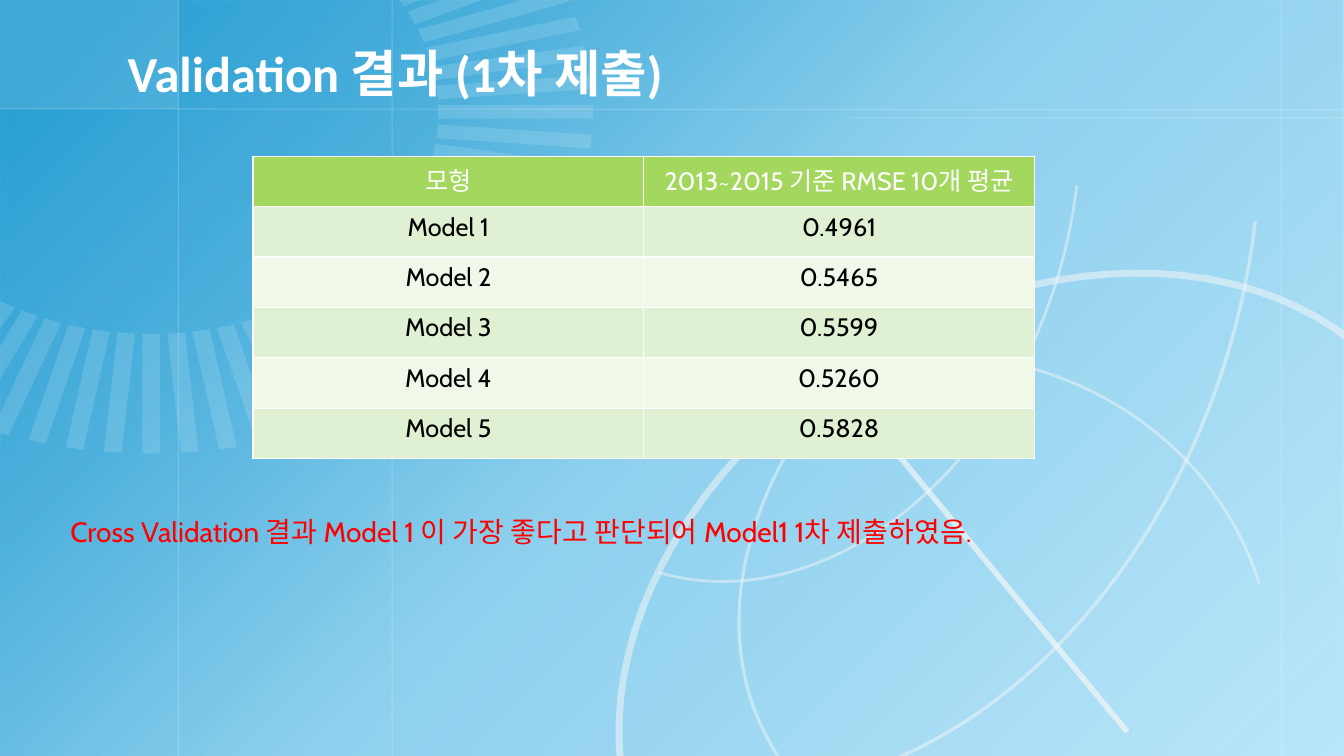
import math

from lxml import etree
from pptx import Presentation
from pptx.dml.color import RGBColor
from pptx.enum import shapes, text
from pptx.oxml import ns
from pptx.util import Inches, Pt

COLORS = {
    "sky": "BCE7FA", "blue": "0F92CC", "white": "FFFFFF", "tick": "F2FAFE",
    "arc": "F8F8F8", "green": "A3D75D", "band": "E0F0D2", "pale": "F0F8EA",
    "black": "000000", "red": "FF0000",
}
WIDTH, HEIGHT = 13.33, 7.5


def bezier(points, steps=24):
    """Points along a chain of cubic curves."""
    curve = [points[0]]
    for i in range(0, len(points) - 1, 3):
        a, b, c, d = points[i:i + 4]
        for n in range(1, steps + 1):
            t = n / steps
            weights = ((1 - t) ** 3, 3 * t * (1 - t) ** 2, 3 * t * t * (1 - t), t ** 3)
            curve.append(tuple(sum(w * q[k] for w, q in zip(weights, (a, b, c, d)))
                               for k in (0, 1)))
    return curve


def clip(points, axis):
    """Cut away the part of a polygon below zero on one axis."""
    kept = []
    for a, b in zip(points, points[1:] + points[:1]):
        if a[axis] >= 0:
            kept.append(a)
        if (a[axis] >= 0) != (b[axis] >= 0):
            t = a[axis] / (a[axis] - b[axis])
            kept.append(tuple(p + t * (q - p) for p, q in zip(a, b)))
    return kept


class Deck:
    def __init__(self):
        self.prs = Presentation()
        self.prs.slide_width, self.prs.slide_height = Inches(WIDTH), Inches(HEIGHT)
        self.s = self.prs.slides.add_slide(self.prs.slide_layouts[6])
        self.paint(self.s.background.fill, "sky")

    def add_xml(self, parent, tag, **attrs):
        return etree.SubElement(parent, ns.qn(tag), attrs)

    def paint(self, fill, color):
        fill.solid()
        fill.fore_color.rgb = RGBColor.from_string(COLORS[color])

    def fade(self, sp, alpha):
        for clr in sp._element.spPr.iter(ns.qn("a:srgbClr")):
            self.add_xml(clr, "a:alpha", val=str(alpha * 1000))

    def rect(self, x, y, w, h, color, alpha):
        sp = self.s.shapes.add_shape(shapes.MSO_SHAPE.RECTANGLE,
                                     Inches(x), Inches(y), Inches(w), Inches(h))
        sp.shadow.inherit = False
        sp.line.fill.background()
        self.paint(sp.fill, color)
        self.fade(sp, alpha)
        return sp

    def gradient(self, sp, color, stops, angle):
        sp.fill.gradient()
        grad = sp._element.spPr.find(ns.qn("a:gradFill"))
        for child in list(grad):
            grad.remove(child)
        gs_list = self.add_xml(grad, "a:gsLst")
        for pos, alpha in stops:
            gs = self.add_xml(gs_list, "a:gs", pos=str(pos * 1000))
            clr = self.add_xml(gs, "a:srgbClr", val=COLORS[color])
            self.add_xml(clr, "a:alpha", val=str(alpha * 1000))
        self.add_xml(grad, "a:lin", ang=str(angle * 60000), scaled="0")

    def line(self, x1, y1, x2, y2, color, width, alpha):
        sp = self.s.shapes.add_connector(shapes.MSO_CONNECTOR.STRAIGHT,
                                         Inches(x1), Inches(y1), Inches(x2), Inches(y2))
        self.paint(sp.line.fill, color)
        sp.line.width = Pt(width)
        self.fade(sp, alpha)
        self.add_xml(sp._element.spPr, "a:effectLst")

    def outline(self, points, color, alpha, width=None):
        """A filled polygon, or an open stroke when a width is given."""
        pts = [(Inches(x), Inches(y)) for x, y in points]
        fb = self.s.shapes.build_freeform(*pts[0])
        fb.add_line_segments(pts[1:], close=width is None)
        sp = fb.convert_to_shape()
        sp.shadow.inherit = False
        if width is None:
            sp.line.fill.background()
            self.paint(sp.fill, color)
        else:
            sp.fill.background()
            self.paint(sp.line.fill, color)
            sp.line.width = Pt(width)
        self.fade(sp, alpha)

    def put_text(self, tf, words, color, align, **fmt):
        p = tf.paragraphs[0]
        p.alignment = align
        r = p.add_run()
        r.text = words
        r.font.color.rgb = RGBColor.from_string(COLORS[color])
        for name, value in fmt.items():
            setattr(r.font, name, value)

    def textbox(self, x, y, w, h, words, color, align, anchor, **fmt):
        tf = self.s.shapes.add_textbox(Inches(x), Inches(y), Inches(w), Inches(h)).text_frame
        tf.word_wrap = True
        tf.vertical_anchor = anchor
        self.put_text(tf, words, color, align, **fmt)

    def table(self, x, y, w, row_h, rows, **fmt):
        tb = self.s.shapes.add_table(len(rows), len(rows[0]), Inches(x), Inches(y),
                                     Inches(w), Inches(row_h * len(rows))).table
        tb.first_row = tb.horz_banding = False
        for i, row in enumerate(rows):
            fill = "green" if i == 0 else ("band" if i % 2 else "pale")
            for j, words in enumerate(row):
                cell = tb.cell(i, j)
                self.put_text(cell.text_frame, words, "black" if i else "white",
                              text.PP_ALIGN.CENTER, **fmt)
                tc_pr = cell._tc.get_or_add_tcPr()
                for side in ("a:lnL", "a:lnR", "a:lnT", "a:lnB"):
                    ln = self.add_xml(tc_pr, side, w=str(Pt(1)))
                    self.add_xml(self.add_xml(ln, "a:solidFill"), "a:srgbClr",
                                 val=COLORS["white"])
                self.paint(cell.fill, fill)


def main():
    d = Deck()

    # Background gradient and corner panel
    sky = d.rect(0, 0, WIDTH, HEIGHT, "blue", 0)
    d.gradient(sky, "blue", [(6, 83), (26, 63), (50, 27), (100, 0)], 45)
    d.rect(0, 0, 1.77, 1.08, "white", 10)

    # Hairline grid
    for x in (1.77, 12.71, 3.89):
        d.line(x, 0, x, HEIGHT, "white", 0.75, 20)
    d.line(0, 1.08, WIDTH, 1.09, "white", 0.75, 20)
    d.line(8.44, 1.17, WIDTH, 1.17, "white", 0.75, 20)

    # Dial of ticks every five degrees, cut at the slide edges
    cx, cy, rx, ry, inner, half = 1.5, 1.11, 4.38, 3.39, 0.65, 0.02
    for degrees in range(-30, 125, 5):
        cos, sin = math.cos(math.radians(degrees)), math.sin(math.radians(degrees))
        tick = [(cx + rx * (r * cos - w * sin), cy + ry * (r * sin + w * cos))
                for r, w in ((inner, -half), (1, -half), (1, half), (inner, half))]
        d.outline(clip(clip(tick, 0), 1), "tick", 15)

    # Globe: rim, axis and meridians
    rim = [(6.41, 8.45), (5.62, 6.86), (6.61, 4.65), (8.65, 3.46),
           (10.69, 2.27), (13.05, 2.52), (13.98, 4.03)]
    d.outline(bezier(rim), "arc", 50, 5)
    d.line(7.56, 2.88, 11.18, 7.26, "arc", 4, 65)
    meridians = [
        (2, [(7.1, 4.14), (8.09, 3.53), (9.27, 3.36), (10.32, 3.68),
             (11.37, 4.01), (12.17, 4.78), (12.49, 5.79)]),
        (2.25, [(9.53, 2.74), (8.48, 3.39), (7.71, 4.36), (7.44, 5.38),
                (7.16, 6.39), (7.42, 7.35), (8.12, 7.96)]),
        (2, [(6.53, 5.68), (7.39, 5.93), (8.37, 5.65), (9.18, 4.9),
             (9.99, 4.16), (10.54, 3.03), (10.68, 1.84)]),
        (2.5, [(6.48, 7.71), (7.73, 8.08), (9.13, 7.67), (10.29, 6.6),
               (11.46, 5.52), (12.25, 3.91), (12.45, 2.2)]),
    ]
    for width, points in meridians:
        d.outline(bezier(points), "arc", 45, width)

    # Title
    d.textbox(0.6, 0.38, 6.07, 0.68, "Validation 결과 (1차 제출)", "white",
              text.PP_ALIGN.RIGHT, text.MSO_ANCHOR.MIDDLE,
              name="Calibri", size=Pt(36), bold=True)

    # Scores
    scores = ["0.4961", "0.5465", "0.5599", "0.5260", "0.5828"]
    rows = [("모형", "2013~2015 기준 RMSE 10개 평균")]
    rows += [(f"Model {n}", score) for n, score in enumerate(scores, 1)]
    d.table(2.51, 1.55, 7.75, 0.5, rows, name="Cabin", size=Pt(18))

    # Conclusion
    d.textbox(0.6, 5.06, 12.99, 0.44,
              "Cross Validation 결과 Model 1 이 가장 좋다고 판단되어 Model1 1차 제출하였음.",
              "red", text.PP_ALIGN.LEFT, text.MSO_ANCHOR.TOP, name="Cabin", size=Pt(20))

    d.prs.save("out.pptx")


if __name__ == "__main__":
    main()
